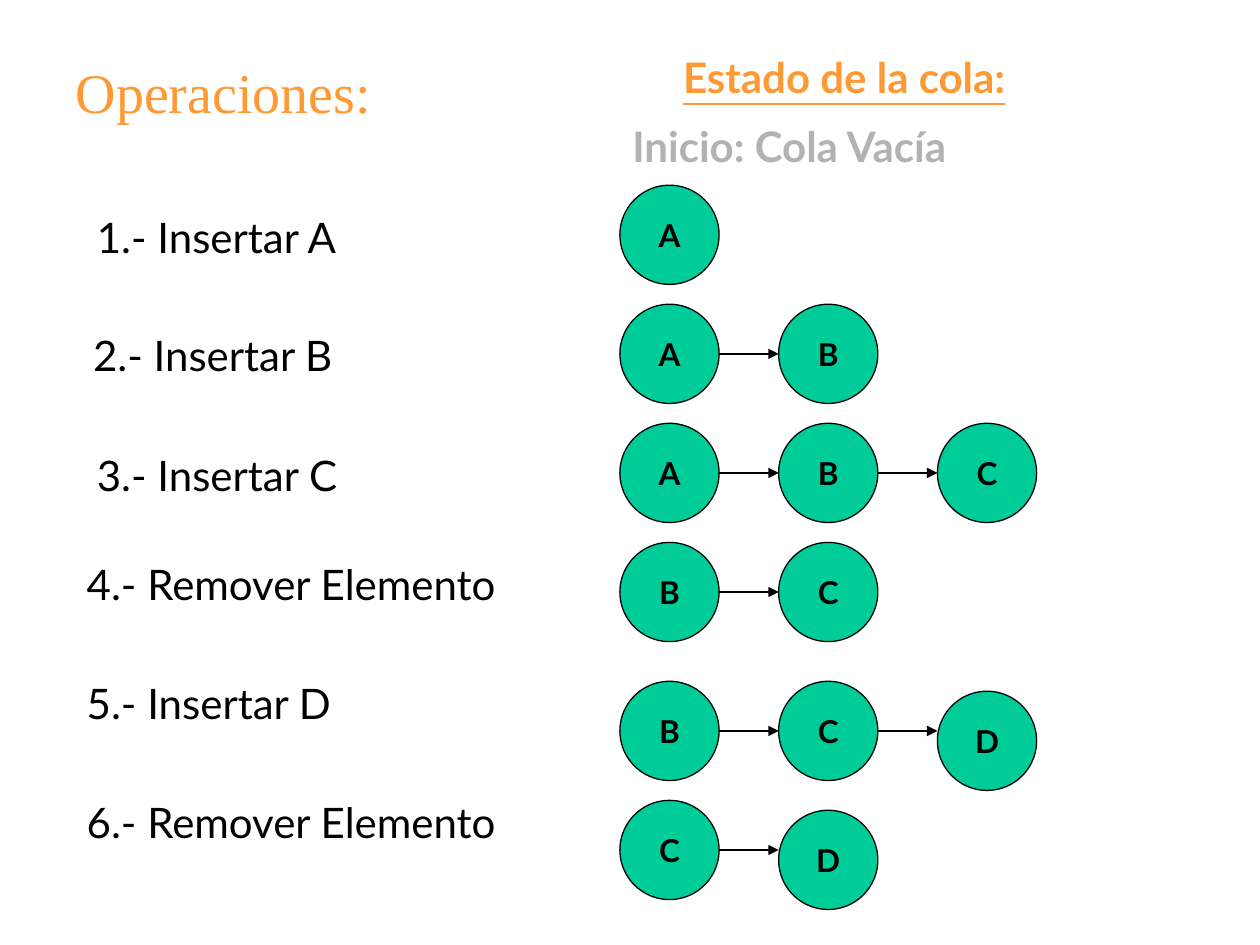
"""Draw the states of a queue beside the operations that lead to them."""
from dataclasses import dataclass

from lxml.etree import SubElement as Sub
from pptx import Presentation
from pptx.dml.color import RGBColor
from pptx.enum.shapes import MSO_CONNECTOR as Link, MSO_SHAPE as Shape
from pptx.enum.text import MSO_ANCHOR as Anchor, MSO_AUTO_SIZE as Auto, PP_ALIGN as Align
from pptx.oxml.ns import qn
from pptx.util import Inches, Pt

UNIT = 0.1575
LEFT, TOP = 4.92, 1.47
SIZE, STEP = 5, 8
BLACK, GREEN, ORANGE, GRAY = "000000", "00CC99", "FF9933", "B2B2B2"


@dataclass
class Label:
    text: str
    x: float
    y: float
    wide: float
    color: str = BLACK
    bold: bool = False
    line: bool = False
    align: Align = Align.LEFT


@dataclass
class Queue:
    row: int
    items: str
    drop: float = 0


LABELS = [
    Label("1.- Insertar A", 0.67, 1.63, 2.91),
    Label("2.- Insertar B", 0.64, 2.57, 2.22),
    Label("3.- Insertar C", 0.67, 3.52, 2.68),
    Label("4.- Remover Elemento", 0.59, 4.38, 3.7),
    Label("5.- Insertar D", 0.59, 5.33, 3.23),
    Label("6.- Remover Elemento", 0.59, 6.27, 3.86),
    Label("Estado de la cola:", 4.69, 0.36, 4.02, ORANGE, True, True, Align.CENTER),
    Label("Inicio: Cola Vacía", 4.92, 0.91, 3.31, GRAY, True),
]
QUEUES = [
    Queue(0, "A"), Queue(6, "AB"), Queue(12, "ABC"),
    Queue(18, "BC"), Queue(25, "BCD", 0.5), Queue(31, "CD", 0.5),
]


def paint(color: str) -> RGBColor:
    """Turn a hex string into a colour."""
    return RGBColor.from_string(color)


def apply(thing, form: dict) -> None:
    """Set each attribute named in the format."""
    for name, value in form.items():
        setattr(thing, name, value)


def grid(col: float, row: float) -> tuple:
    """Give the place of a grid column and row."""
    return Inches(LEFT + col * UNIT), Inches(TOP + row * UNIT)


def write(shape, text: str, color: str, font: dict, align=Align.LEFT, **frame) -> None:
    """Put one formatted line of text in a shape."""
    apply(shape.text_frame, frame)
    para = shape.text_frame.paragraphs[0]
    para.alignment = align
    run = para.add_run()
    run.text = text
    apply(run.font, font)
    run.font.color.rgb = paint(color)


def node(shapes, col: float, row: float, text: str) -> None:
    """Draw one queue element."""
    disc = shapes.add_shape(Shape.FLOWCHART_CONNECTOR, *grid(col, row),
                            *[Inches(SIZE * UNIT)] * 2)
    disc.shadow.inherit = False
    disc.fill.solid()
    disc.fill.fore_color.rgb = paint(GREEN)
    disc.line.color.rgb = paint(BLACK)
    disc.line.width = Pt(0.75)
    write(disc, text, BLACK, {"name": "Lato", "size": Pt(18), "bold": True},
          Align.CENTER, word_wrap=False, vertical_anchor=Anchor.MIDDLE)


def arrow(shapes, col: float, row: float) -> None:
    """Draw an arrow across the gap before a column."""
    link = shapes.add_connector(Link.STRAIGHT, *grid(col - STEP + SIZE, row), *grid(col, row))
    link.line.color.rgb = paint(BLACK)
    link.line.width = Pt(0.75)
    Sub(link.line._get_or_add_ln(), qn("a:tailEnd"), type="triangle")
    Sub(link._element.spPr, qn("a:effectLst"))


def chain(slide, queue: Queue) -> None:
    """Draw a queue with its elements linked in order."""
    shapes = slide.shapes
    if len(queue.items) > 1:
        shapes = shapes.add_group_shape().shapes
    for i, item in enumerate(queue.items):
        node(shapes, i * STEP, queue.row + (queue.drop if item == "D" else 0), item)
    for i in range(1, len(queue.items)):
        arrow(shapes, i * STEP, queue.row + SIZE / 2)


def label(slide, item: Label) -> None:
    """Draw a line of text in its own box."""
    box = slide.shapes.add_textbox(*map(Inches, (item.x, item.y, item.wide, 0.5)))
    font = {"name": "Lato", "size": Pt(24), "bold": item.bold, "underline": item.line}
    write(box, item.text, item.color, font, item.align,
          word_wrap=True, auto_size=Auto.SHAPE_TO_FIT_TEXT)


def main() -> None:
    """Build and save the slide."""
    deck = Presentation()
    apply(deck, {"slide_width": Inches(10), "slide_height": Inches(7.5)})
    slide = deck.slides.add_slide(deck.slide_layouts[5])
    title = slide.shapes.title
    apply(title, {"left": Inches(0.5), "top": Inches(0.36),
                  "width": Inches(9), "height": Inches(6.3)})
    write(title, "Operaciones:", ORANGE, {"name": "Times New Roman", "size": Pt(32)},
          vertical_anchor=Anchor.TOP, margin_top=Inches(0.1), auto_size=Auto.NONE)
    for queue in QUEUES:
        chain(slide, queue)
    for item in LABELS:
        label(slide, item)
    deck.save("out.pptx")


if __name__ == "__main__":
    main()
